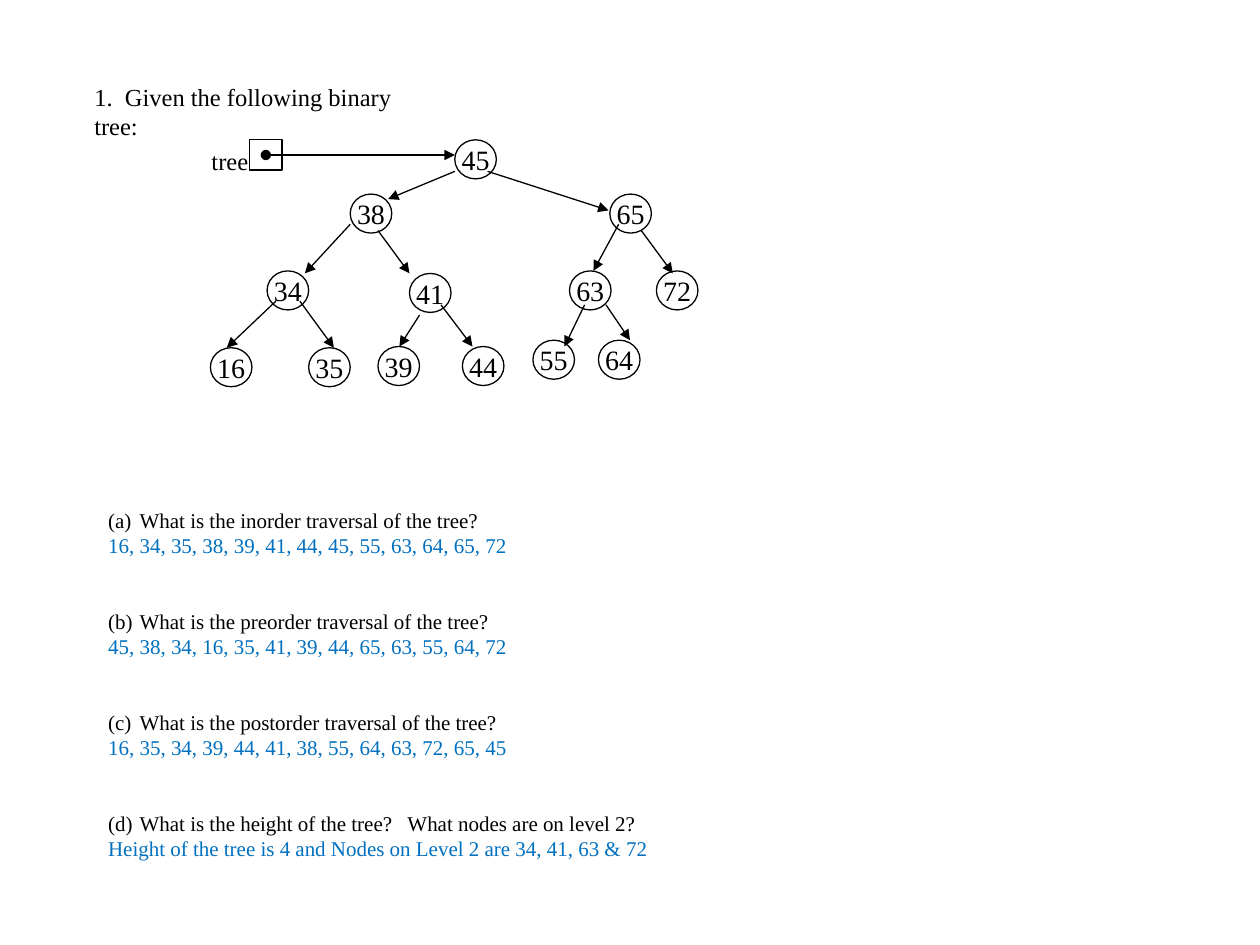
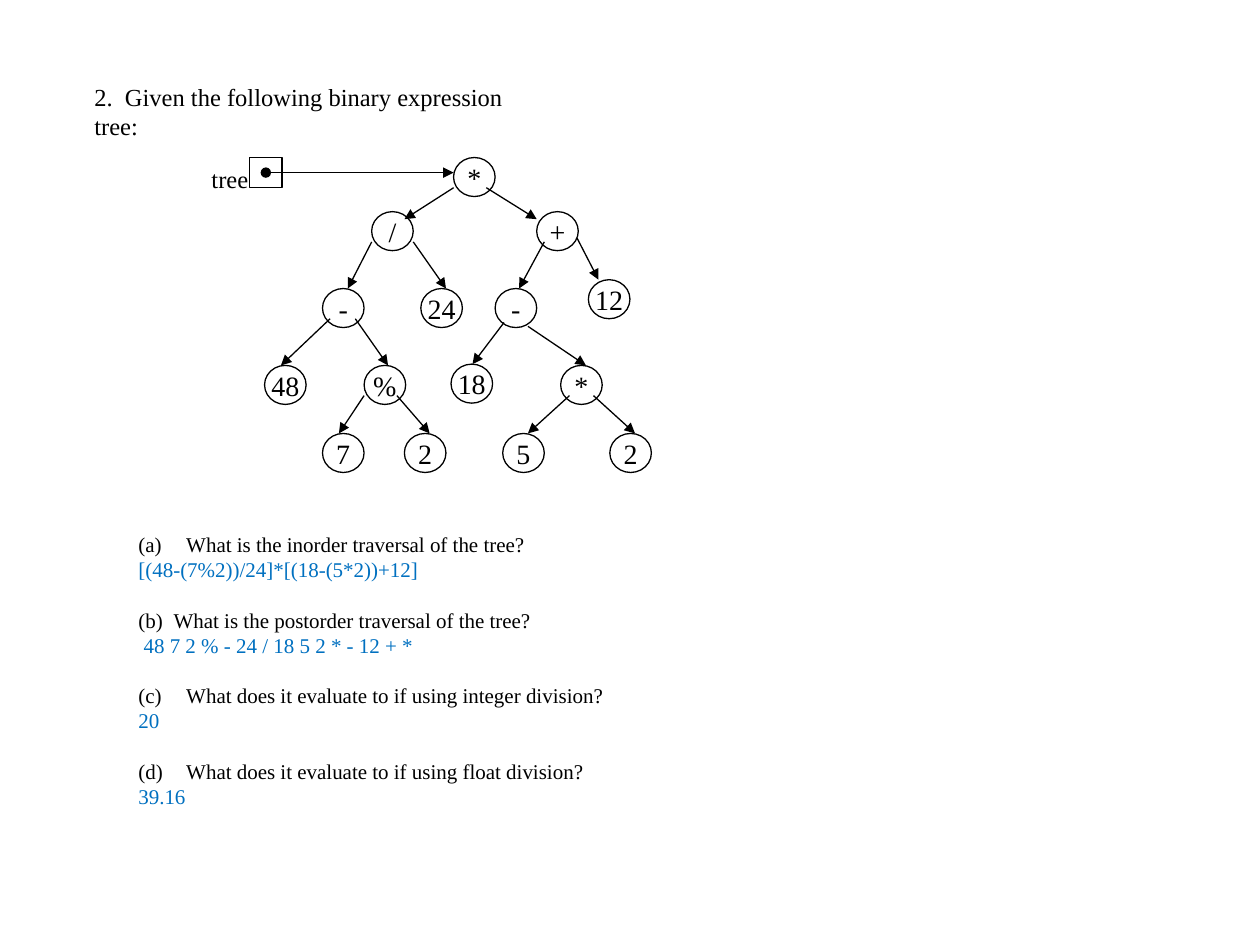
from lxml import etree
from pptx import Presentation, util as u
from pptx.dml.color import RGBColor
from pptx.enum import shapes, text
from pptx.oxml.ns import qn

COLORS = {"ink": "000000", "answer": "0070C0"}
FONT = "Times New Roman"
LINE_RATIO = 1.2
NODE_SIZE = (0.33, 0.31)
POINTER_SIZE = (0.26, 0.24)
POINTER_LEFT = 1.98
LABEL_LEFT = 1.58

# Node: label, left, top, arrow start, arrow end
EXERCISES = [
    {
        "title": "1.  Given the following binary tree:",
        "title_width": 2.9,
        "root": ("45", 3.61, 1.11),
        "nodes": [
            ("38", 2.78, 1.54, (3.61, 1.36), (3.08, 1.58)),
            ("65", 4.84, 1.54, (3.87, 1.36), (4.83, 1.67)),
            ("34", 2.12, 2.15, (2.78, 1.78), (2.42, 2.17)),
            ("41", 3.25, 2.17, (3.00, 1.83), (3.25, 2.17)),
            ("63", 4.52, 2.15, (4.91, 1.78), (4.71, 2.15)),
            ("72", 5.21, 2.15, (5.09, 1.83), (5.34, 2.17)),
            ("16", 1.67, 2.76, (2.19, 2.39), (1.80, 2.76)),
            ("35", 2.45, 2.76, (2.38, 2.39), (2.65, 2.76)),
            ("39", 3.00, 2.75, (3.33, 2.50), (3.17, 2.75)),
            ("44", 3.67, 2.75, (3.50, 2.42), (3.75, 2.75)),
            ("55", 4.23, 2.70, (4.64, 2.42), (4.48, 2.75)),
            ("64", 4.75, 2.70, (4.81, 2.42), (5.00, 2.70)),
        ],
        "questions_box": (0.76, 3.98, 5.29, 2.93),
        "gap_lines": 2,
        "questions": [
            ("What is the inorder traversal of the tree?", 0.25,
             "16, 34, 35, 38, 39, 41, 44, 45, 55, 63, 64, 65, 72"),
            ("What is the preorder traversal of the tree?", 0.25,
             "45, 38, 34, 16, 35, 41, 39, 44, 65, 63, 55, 64, 72"),
            ("What is the postorder traversal of the tree?", 0.25,
             "16, 35, 34, 39, 44, 41, 38, 55, 64, 63, 72, 65, 45"),
            ("What is the height of the tree?   What nodes are on level 2?", 0.25,
             "Height of the tree is 4 and Nodes on Level 2 are 34, 41, 63 & 72"),
        ],
    },
    {
        "title": "2.  Given the following binary expression tree:",
        "title_width": 3.75,
        "root": ("*", 3.6, 1.25),
        "nodes": [
            ("/", 2.95, 1.68, (3.60, 1.49), (3.21, 1.74)),
            ("+", 4.26, 1.68, (3.86, 1.49), (4.26, 1.74)),
            ("-", 2.56, 2.29, (2.95, 1.92), (2.76, 2.29)),
            ("24", 3.34, 2.29, (3.28, 1.92), (3.54, 2.29)),
            ("-", 3.93, 2.29, (4.32, 1.92), (4.12, 2.29)),
            ("12", 4.67, 2.22, (4.58, 1.89), (4.75, 2.22)),
            ("48", 2.10, 2.90, (2.62, 2.53), (2.23, 2.90)),
            ("%", 2.89, 2.90, (2.82, 2.53), (3.08, 2.90)),
            ("18", 3.58, 2.89, (4.00, 2.56), (3.75, 2.89)),
            ("*", 4.45, 2.90, (4.19, 2.59), (4.65, 2.90)),
            ("7", 2.56, 3.44, (2.89, 3.14), (2.69, 3.44)),
            ("2", 3.21, 3.44, (3.15, 3.14), (3.41, 3.44)),
            ("5", 3.99, 3.44, (4.52, 3.14), (4.19, 3.44)),
            ("2", 4.84, 3.44, (4.71, 3.14), (5.04, 3.44)),
        ],
        "questions_box": (1, 4.17, 3.94, 2.73),
        "gap_lines": 1,
        "questions": [
            ("What is the inorder traversal of the tree?", 0.38,
             "[(48-(7%2))/24]*[(18-(5*2))+12]"),
            ("What is the postorder traversal of the tree?", 0.28,
             " 48 7 2 % - 24 / 18 5 2 * - 12 + *"),
            ("What does it evaluate to if using integer division?", 0.38, "20"),
            ("What does it evaluate to if using float division?", 0.38, "39.16"),
        ],
    },
]


def inches(*lengths):
    return [u.Inches(length) for length in lengths]


def write(paragraph, words, size, color="ink"):
    paragraph.text = words
    paragraph.font.name = FONT
    paragraph.font.size = u.Pt(size)
    paragraph.font.color.rgb = RGBColor.from_string(COLORS[color])


def add_text(parent, box, words, size, wrap=True):
    frame = parent.add_textbox(*inches(*box)).text_frame
    frame.word_wrap = wrap
    write(frame.paragraphs[0], words, size)


def add_outline(parent, kind, left, top, size):
    shape = parent.add_shape(kind, *inches(left, top, *size))
    shape.shadow.inherit = False
    shape.fill.background()
    shape.line.color.rgb = RGBColor.from_string(COLORS["ink"])
    shape.line.width = u.Pt(0.75)
    return shape


def add_node(parent, label, left, top):
    shape = add_outline(parent, shapes.MSO_SHAPE.OVAL, left, top, NODE_SIZE)
    frame = shape.text_frame
    frame.word_wrap = False
    frame.vertical_anchor = text.MSO_ANCHOR.MIDDLE
    write(frame.paragraphs[0], label, 16)
    frame.paragraphs[0].alignment = text.PP_ALIGN.CENTER


def add_arrow(parent, start, end, dot=False):
    connector = parent.add_connector(
        shapes.MSO_CONNECTOR.STRAIGHT, *inches(*start, *end))
    connector.line.color.rgb = RGBColor.from_string(COLORS["ink"])
    connector.line.width = u.Pt(0.75)
    line = connector.line._get_or_add_ln()
    if dot:
        etree.SubElement(line, qn("a:headEnd"), type="oval")
    etree.SubElement(line, qn("a:tailEnd"), type="triangle")
    etree.SubElement(connector._element.spPr, qn("a:effectLst"))


def add_tree(slide, root, nodes):
    tree = slide.shapes.add_group_shape().shapes
    add_node(tree, *root)
    for label, left, top, start, end in nodes:
        add_node(tree, label, left, top)
        add_arrow(tree, start, end)

    root_left, top = root[1:]
    width, height = POINTER_SIZE
    middle = top + height / 2
    add_outline(tree, shapes.MSO_SHAPE.RECTANGLE, POINTER_LEFT, top, POINTER_SIZE)
    add_text(tree, (LABEL_LEFT, top, 0.49, 0.33), "tree", 14, wrap=False)
    add_arrow(tree, (POINTER_LEFT + width / 2, middle), (root_left, middle), dot=True)


def number_paragraph(paragraph, number, indent):
    properties = paragraph._p.get_or_add_pPr()
    properties.set("marL", str(u.Inches(indent)))
    properties.set("indent", str(-u.Inches(indent)))
    bullet = etree.Element(
        qn("a:buAutoNum"), type="alphaLcParenBoth", startAt=str(number))
    properties.find(qn("a:defRPr")).addprevious(bullet)


def add_questions(slide, box, questions, gap_lines):
    frame = slide.shapes.add_textbox(*inches(*box)).text_frame
    frame.word_wrap = True
    size = 12
    pitch = size * LINE_RATIO
    for number, (question, indent, answer) in enumerate(questions, 1):
        first = number == 1
        paragraph = frame.paragraphs[0] if first else frame.add_paragraph()
        write(paragraph, question, size)
        paragraph.line_spacing = u.Pt(pitch)
        paragraph.space_before = u.Pt(0 if first else gap_lines * pitch)
        number_paragraph(paragraph, number, indent)
        paragraph = frame.add_paragraph()
        write(paragraph, answer, size, "answer")
        paragraph.line_spacing = u.Pt(pitch)


def main():
    presentation = Presentation()
    presentation.slide_width, presentation.slide_height = inches(10, 7.5)
    for exercise in EXERCISES:
        slide = presentation.slides.add_slide(presentation.slide_layouts[6])
        add_text(slide.shapes, (0.65, 0.6, exercise["title_width"], 0.33),
                 exercise["title"], 14)
        add_questions(slide, exercise["questions_box"],
                      exercise["questions"], exercise["gap_lines"])
        add_tree(slide, exercise["root"], exercise["nodes"])
    presentation.save("out.pptx")


if __name__ == "__main__":
    main()
